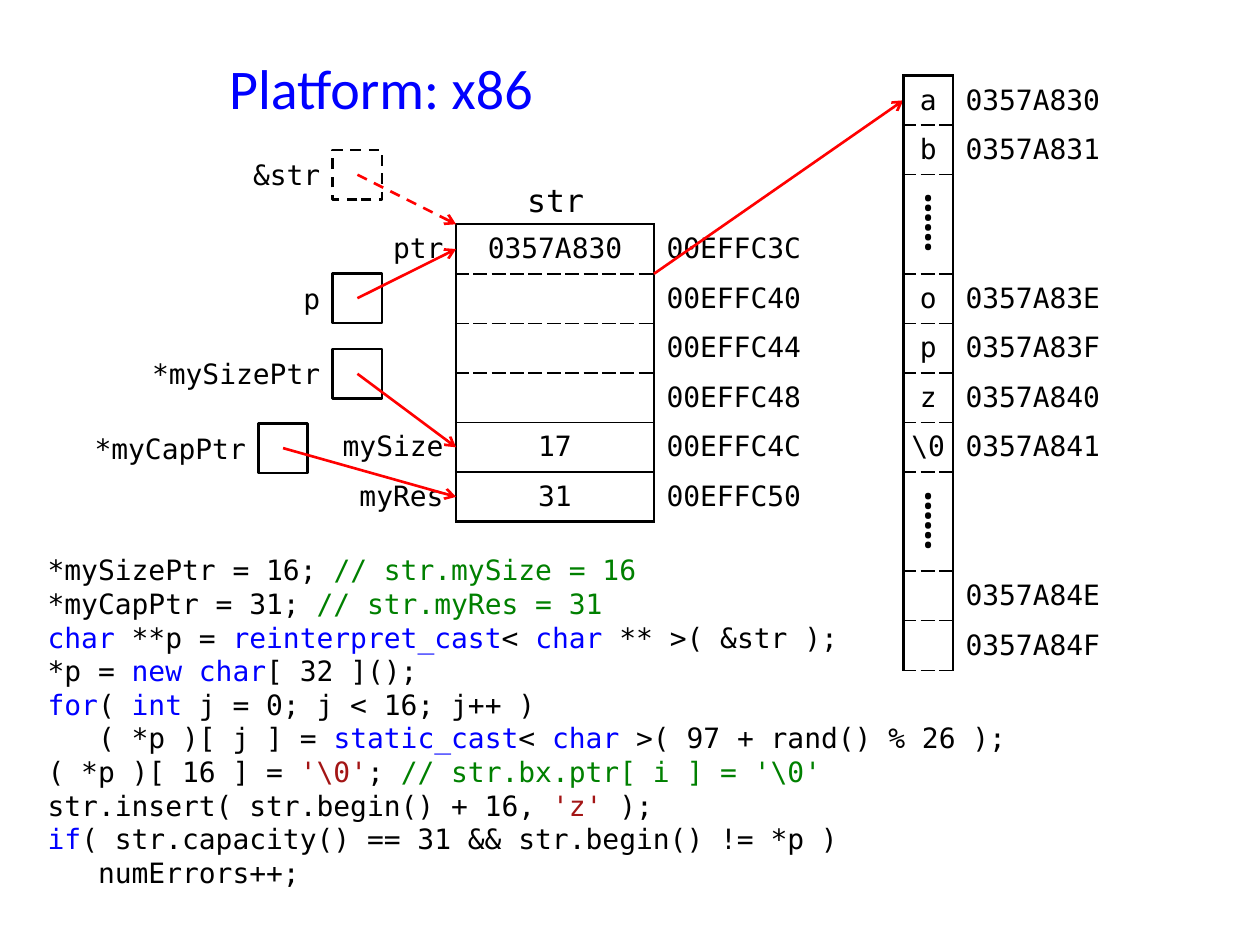
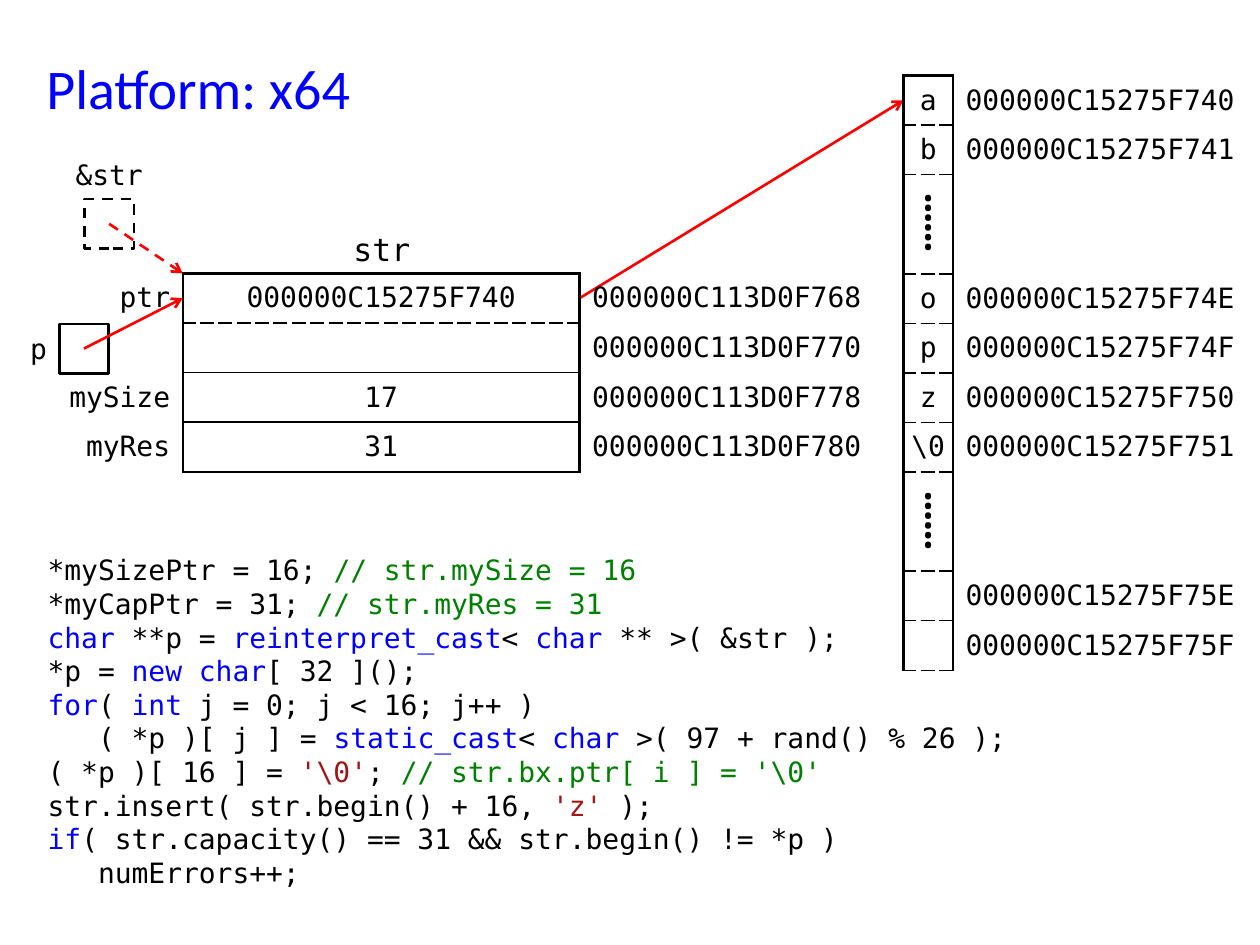
from lxml import etree
from pptx import Presentation
from pptx.dml.color import RGBColor
from pptx.enum.dml import MSO_LINE
from pptx.enum.shapes import MSO_CONNECTOR, MSO_SHAPE
from pptx.enum.text import MSO_ANCHOR as ANCHOR, PP_ALIGN as ALIGN
from pptx.oxml.ns import qn
from pptx.util import Inches, Pt

BLACK, BLUE, GREEN, BROWN, RED = "000000", "0000FF", "008000", "A31515", "FF0000"
MONO = "DejaVu Sans Mono"
NO_TABLE_STYLE = "{2D5ABB26-0587-4C30-8999-92F81FD0307C}"

HEAP_LEFT, HEAP_TOP = 7.17, 0.6
ROW = 4.72 / 12
MEMBER_WIDTH = 1.18

# Kinds of table rule: width in points and dash preset
RULES = {"outer": (1.5, "solid"), "solid": (1, "solid"), "dash": (1, "sysDash")}

DOTS = "⸽"
HEAP_CHARS = ["a", "b", DOTS, "", "o", "p", "z", r"\0", DOTS, "", "", ""]
HEAP_OFFSETS = [0, 1, None, None, 14, 15, 16, 17, None, None, 30, 31]

KEYWORDS = {"char", "reinterpret_cast", "new char", "for", "int", "static_cast", "if"}
CODE = [
    ("*mySizePtr = 16; ", "// str.mySize = 16"),
    ("*myCapPtr = 31; ", "// str.myRes = 31"),
    ("char", " **p = ", "reinterpret_cast", "< ", "char", " ** >( &str );"),
    ("*p = ", "new char", "[ 32 ]();"),
    ("for", "( ", "int", " j = 0; j < 16; j++ )"),
    ("   ( *p )[ j ] = ", "static_cast", "< ", "char", " >( 97 + rand() % 26 );"),
    ("( *p )[ 16 ] = ", r"'\0'", "; ", r"// str.bx.ptr[ i ] = '\0'"),
    ("str.insert( str.begin() + 16, ", "'z'", " );"),
    ("if", "( str.capacity() == 31 && str.begin() != *p )"),
    ("   numErrors++;",),
]


def rgb(color):
    return RGBColor.from_string(color)


def set_all(target, formats):
    for name, value in formats.items():
        setattr(target, name, value)


def add_run(paragraph, text, size=16, color=BLACK, font=MONO):
    run = paragraph.add_run()
    run.text = text
    set_all(run.font, {"size": Pt(size), "name": font})
    run.font.color.rgb = rgb(color)


def add_text(slide, box, text="", align=ALIGN.LEFT, anchor=ANCHOR.MIDDLE, **font):
    frame = slide.shapes.add_textbox(*map(Inches, box)).text_frame
    set_all(frame, {"word_wrap": True, "vertical_anchor": anchor})
    frame.paragraphs[0].alignment = align
    if text:
        add_run(frame.paragraphs[0], text, **font)
    return frame


def add_title(slide, text, align):
    add_text(slide, (0.27, 0.4, 5.51, 0.59), text, align,
             size=32, color=BLUE, font="Calibri")


def token_color(token):
    if token in KEYWORDS:
        return BLUE
    if token.startswith("//"):
        return GREEN
    return BROWN if token.startswith("'") else BLACK


def add_code(slide):
    frame = add_text(slide, (0.28, 4.34, 8.66, 2.76), anchor=ANCHOR.TOP)
    for number, tokens in enumerate(CODE):
        line = frame.add_paragraph() if number else frame.paragraphs[0]
        line.line_spacing = Pt(19.2)
        for token in tokens:
            add_run(line, token, color=token_color(token))


def add_arrow(slide, start, end, dashed=False):
    arrow = slide.shapes.add_connector(
        MSO_CONNECTOR.STRAIGHT, *map(Inches, (*start, *end)))
    arrow.line.color.rgb = rgb(RED)
    arrow.line.width = Pt(1.5)
    if dashed:
        arrow.line.dash_style = MSO_LINE.DASH
    etree.SubElement(arrow.line._get_or_add_ln(), qn("a:tailEnd"), type="arrow")
    etree.SubElement(arrow._element.spPr, qn("a:effectLst"))


def add_pointer(slide, label, left, top, target, label_width, dashed=False, above=False):
    """Square pointer variable with its label and an arrow to its target."""
    square = slide.shapes.add_shape(
        MSO_SHAPE.RECTANGLE, *map(Inches, (left, top, ROW, ROW)))
    square.shadow.inherit = False
    square.fill.background()
    square.line.color.rgb = rgb(BLACK)
    square.line.width = Pt(1.5)
    if dashed:
        square.line.dash_style = MSO_LINE.DASH
    if above:
        label_left = left + (ROW - label_width) / 2
        add_text(slide, (label_left, top - ROW, label_width, ROW), label, ALIGN.CENTER)
    else:
        add_text(slide, (left - label_width, top, label_width, ROW), label, ALIGN.RIGHT)
    add_arrow(slide, (left + ROW / 2, top + ROW / 2), target, dashed)


def add_borders(cell, top, bottom):
    """Box a cell with outer side lines and the given kinds of rule."""
    properties = cell._tc.get_or_add_tcPr()
    for side, kind in (("L", "outer"), ("R", "outer"), ("T", top), ("B", bottom)):
        width, dash = RULES[kind]
        line = etree.SubElement(properties, qn(f"a:ln{side}"), w=str(Pt(width)))
        fill = etree.SubElement(line, qn("a:solidFill"))
        etree.SubElement(fill, qn("a:srgbClr"), val=BLACK)
        etree.SubElement(line, qn("a:prstDash"), val=dash)


def add_memory(slide, left, top, columns, rows, rules, boxed):
    """Memory table; columns hold width, alignment and left, right, vertical margins."""
    width = sum(column[0] for column in columns)
    table = slide.shapes.add_table(
        len(rows), len(columns),
        *map(Inches, (left, top, width, ROW * len(rows)))).table
    set_all(table, {"first_row": False, "horz_banding": False})
    table._tbl.tblPr.find(qn("a:tableStyleId")).text = NO_TABLE_STYLE
    for c, (column_width, align, (inset_left, inset_right, inset_y)) in enumerate(columns):
        table.columns[c].width = Inches(column_width)
        for r, row in enumerate(rows):
            table.rows[r].height = Inches(ROW)
            cell = table.cell(r, c)
            set_all(cell, {
                "margin_left": Inches(inset_left), "margin_right": Inches(inset_right),
                "margin_top": Inches(inset_y), "margin_bottom": Inches(inset_y),
                "vertical_anchor": ANCHOR.MIDDLE})
            if c == boxed:
                add_borders(cell, rules[r], rules[r + 1])
            cell.fill.background()
            if row[c] == DOTS:
                cell.merge(table.cell(r + 1, c))
            if row[c]:
                paragraph = cell.text_frame.paragraphs[0]
                paragraph.alignment = align
                style = {"size": 28, "font": "Times New Roman"} if row[c] == DOTS else {}
                add_run(paragraph, row[c], **style)


def hex_address(value, digits):
    return f"{value:0{digits}X}"


def add_heap(slide, start, digits, address_width):
    rows = [(char, "" if offset is None else hex_address(start + offset, digits))
            for char, offset in zip(HEAP_CHARS, HEAP_OFFSETS)]
    columns = [(ROW, ALIGN.CENTER, (0, 0, 0)),
               (address_width, ALIGN.LEFT, (0.1, 0.08, 0.04))]
    add_memory(slide, HEAP_LEFT, HEAP_TOP, columns, rows,
               ["outer"] + ["dash"] * len(rows), boxed=0)


def add_string(slide, left, top, widths, members, rules, start, digits):
    """The str object: member names, values and word addresses."""
    word = digits // 2
    rows = [(name, value, hex_address(start + i * word, digits))
            for i, (name, value) in enumerate(members)]
    columns = [(MEMBER_WIDTH, ALIGN.RIGHT, (0.1, 0.1, 0.04)),
               (widths[0], ALIGN.CENTER, (0.08, 0.08, 0.04)),
               (widths[1], ALIGN.LEFT, (0.1, 0.08, 0.04))]
    add_memory(slide, left, top, columns, rows, rules, boxed=1)


def add_string_name(slide, left, top):
    add_text(slide, (left, top - ROW, 1.58, ROW), "str", ALIGN.CENTER, ANCHOR.TOP, size=18)


def build_x86(slide):
    left, top = 2.44, 1.78
    edge, value_width = left + MEMBER_WIDTH, 1.57
    row_middle = [top + ROW * (i + 0.5) for i in range(6)]
    add_title(slide, "Platform: x86", ALIGN.CENTER)
    add_code(slide)
    add_string(slide, left, top, (value_width, 1.38),
               [("ptr", "0357A830"), ("", ""), ("", ""), ("", ""),
                ("mySize", "17"), ("myRes", "31")],
               ["outer", "dash", "dash", "dash", "solid", "solid", "outer"],
               0x00EFFC3C, 8)
    add_string_name(slide, edge, top)
    add_arrow(slide, (edge + value_width, top + ROW), (HEAP_LEFT, HEAP_TOP + ROW / 2))
    add_heap(slide, 0x0357A830, 8, 1.38)
    add_pointer(slide, "&str", 2.64, 1.19, (edge, top), 0.79, dashed=True)
    add_pointer(slide, "p", 2.64, 2.17, (edge, row_middle[0]), 0.39)
    add_pointer(slide, "*mySizePtr", 2.64, 2.77, (edge, row_middle[4]), 1.57)
    add_pointer(slide, "*myCapPtr", 2.05, 3.36, (edge, row_middle[5]), 1.57)


def build_x64(slide):
    left, top = 0.27, 2.17
    edge, value_width = left + MEMBER_WIDTH, 3.15
    ptr_middle = top + ROW / 2
    add_title(slide, "Platform: x64", ALIGN.LEFT)
    add_code(slide)
    add_string_name(slide, 2.24, top)
    add_arrow(slide, (edge + value_width, ptr_middle), (HEAP_LEFT, HEAP_TOP + ROW / 2))
    add_string(slide, left, top, (value_width, 2.36),
               [("ptr", "000000C15275F740"), ("", ""), ("mySize", "17"), ("myRes", "31")],
               ["outer", "dash", "solid", "solid", "outer"],
               0xC113D0F768, 16)
    add_heap(slide, 0xC15275F740, 16, 2.36)
    add_pointer(slide, "p", 0.47, 2.57, (edge, ptr_middle), 0.39)
    add_pointer(slide, "&str", 0.67, 1.58, (edge, top), 0.79, dashed=True, above=True)


def main():
    deck = Presentation()
    set_all(deck, {"slide_width": Inches(10), "slide_height": Inches(7.5)})
    for build in (build_x86, build_x64):
        build(deck.slides.add_slide(deck.slide_layouts[6]))
    deck.save("out.pptx")


if __name__ == "__main__":
    main()
